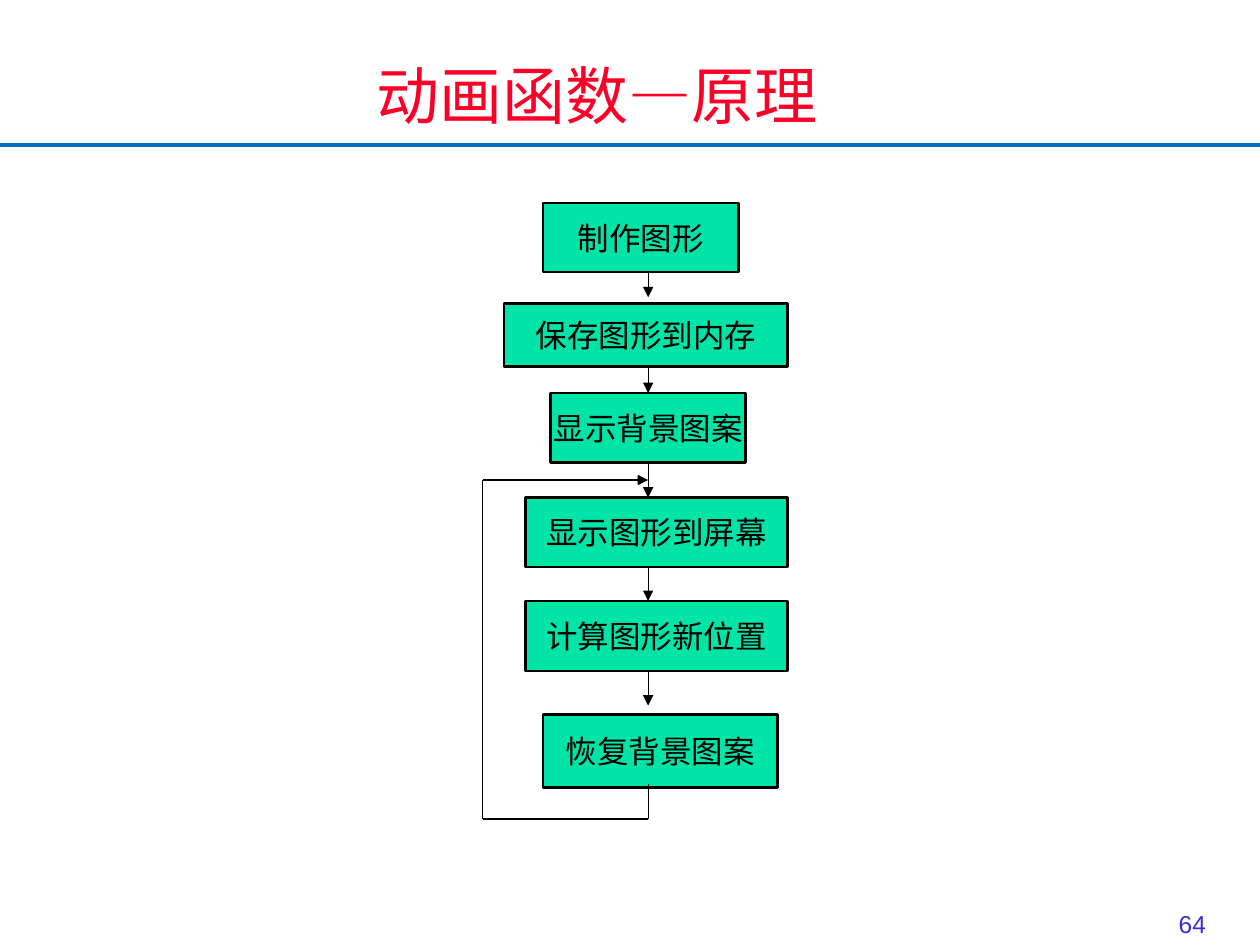
from itertools import pairwise

from lxml import etree
from pptx import Presentation
from pptx.dml.color import RGBColor
from pptx.enum.shapes import MSO_CONNECTOR, MSO_SHAPE
from pptx.enum.text import MSO_ANCHOR, PP_ALIGN
from pptx.oxml.ns import qn
from pptx.util import Pt

STRAIGHT = MSO_CONNECTOR.STRAIGHT
RECT = MSO_SHAPE.RECTANGLE
TOP, MIDDLE, BOTTOM = MSO_ANCHOR.TOP, MSO_ANCHOR.MIDDLE, MSO_ANCHOR.BOTTOM
LEFT, CENTER, RIGHT = PP_ALIGN.LEFT, PP_ALIGN.CENTER, PP_ALIGN.RIGHT

COLORS = {
    "title": "FC0128",
    "rule": "0070C0",
    "number": "3333CC",
    "box": "00E4A8",
    "ink": "000000",
    "paper": "FFFFFF",
}


def write(sp, text, size, font, color, align, anchor, wrap):
    tf = sp.text_frame
    tf.text = text
    tf.word_wrap = wrap
    tf.vertical_anchor = anchor
    p = tf.paragraphs[0]
    p.alignment = align
    r = p.runs[0]
    r.font.size = Pt(size)
    r.font.name = font
    r.font.color.rgb = RGBColor.from_string(COLORS[color])
    # East Asian glyphs take their typeface from a:ea
    ea = etree.SubElement(r.font._element, qn("a:ea"))
    ea.set("typeface", font)


def add_line(x1, y1, x2, y2, color="ink", width=0.75, arrow=False):
    cx = s.shapes.add_connector(STRAIGHT, Pt(x1), Pt(y1), Pt(x2), Pt(y2))
    cx.line.color.rgb = RGBColor.from_string(COLORS[color])
    cx.line.width = Pt(width)
    if arrow:
        tail = etree.SubElement(cx.line._get_or_add_ln(), qn("a:tailEnd"))
        tail.set("type", "triangle")
    etree.SubElement(cx._element.spPr, qn("a:effectLst"))
    return cx


prs = Presentation()
prs.slide_width, prs.slide_height = Pt(720), Pt(540)
s = prs.slides.add_slide(prs.slide_layouts[6])

# Header and slide number
add_line(0, 82.8, 720, 82.8, "rule", 2)
sp = s.shapes.add_textbox(Pt(658), Pt(504), Pt(38.2), Pt(36))
write(sp, "64", 14, "Arial", "number", RIGHT, BOTTOM, True)
sp = s.shapes.add_textbox(Pt(208), Pt(28.8), Pt(293.8), Pt(49))
sp.fill.solid()
sp.fill.fore_color.rgb = RGBColor.from_string(COLORS["paper"])
write(sp, "动画函数—原理", 36, "Noto Sans CJK SC", "title", LEFT, TOP, True)

# Steps: text, left, top, width, height
steps = [
    ("制作图形", 310.3, 115.9, 111.6, 39.6),
    ("保存图形到内存", 288, 173.5, 162, 36),
    ("显示背景图案", 314.6, 224.6, 111.6, 39.6),
    ("显示图形到屏幕", 300.2, 284.4, 149.8, 39.6),
    ("计算图形新位置", 300.2, 343.4, 149.8, 40),
    ("恢复背景图案", 310.3, 408.2, 133.9, 41.8),
]
boxes = []
for text, x, y, w, h in steps:
    sp = s.shapes.add_shape(RECT, Pt(x), Pt(y), Pt(w), Pt(h))
    sp.shadow.inherit = False
    sp.fill.solid()
    sp.fill.fore_color.rgb = RGBColor.from_string(COLORS["box"])
    sp.line.color.rgb = RGBColor.from_string(COLORS["ink"])
    sp.line.width = Pt(1.5)
    write(sp, text, 18, "DejaVu Sans", "ink", CENTER, MIDDLE, False)
    boxes.append(sp)

# Arrows down the spine, which runs through the centre of the third box
SPINE = 370.4
short_of_next = [3.6, 0, 0, 0, 5]
arrows = []
for (above, below), short in zip(pairwise(steps), short_of_next):
    start, end = above[2] + above[4], below[2] - short
    arrows.append(add_line(SPINE, start, SPINE, end, arrow=True))
arrows[1].end_connect(boxes[2], 0)
arrows[2].begin_connect(boxes[2], 2)

# Return loop from the last step to the arrow above the fourth
LOOP_X, LOOP_TOP, LOOP_BOTTOM = 275.8, 274.3, 468
loop = [(SPINE, 447.8), (SPINE, LOOP_BOTTOM), (LOOP_X, LOOP_BOTTOM),
        (LOOP_X, LOOP_TOP), (SPINE, LOOP_TOP)]
for start, end in pairwise(loop):
    add_line(*start, *end, arrow=end == loop[-1])

prs.save("out.pptx")
